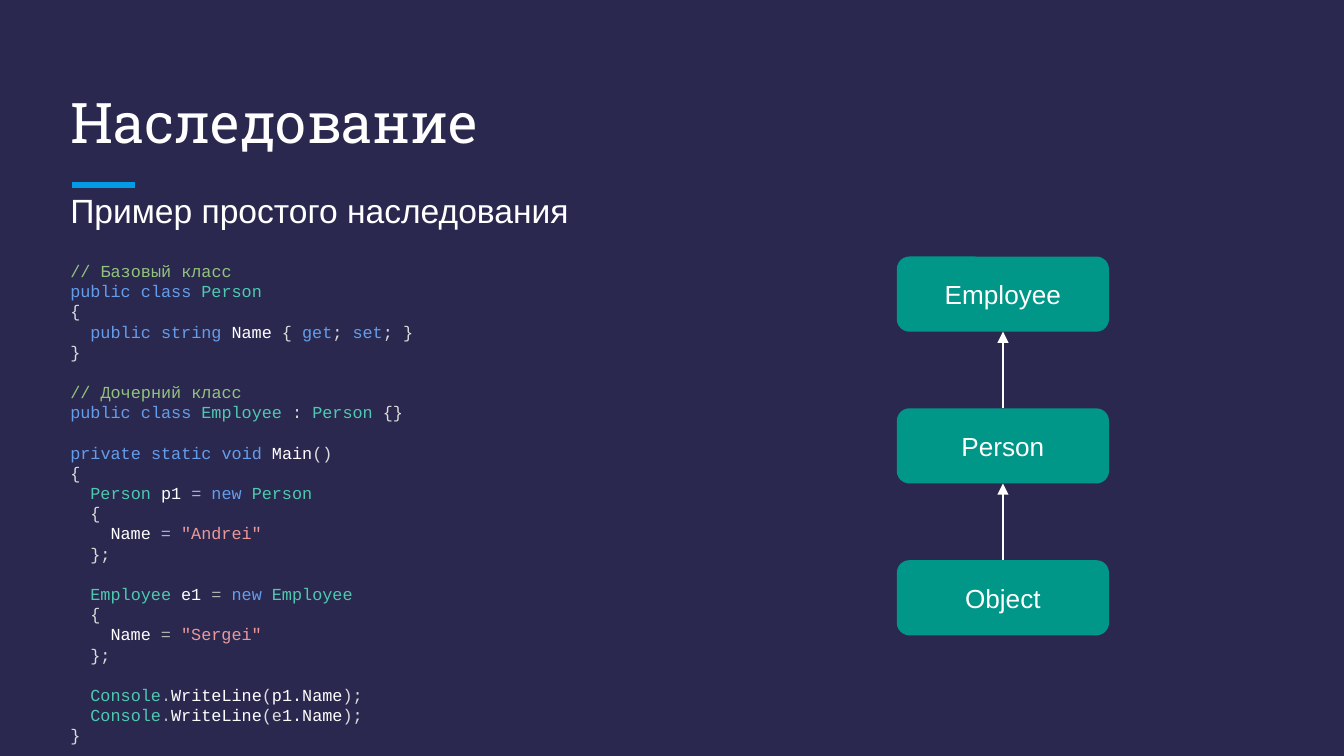
from itertools import pairwise

from pptx import Presentation
from pptx.dml.color import RGBColor
from pptx.enum.shapes import MSO_CONNECTOR, MSO_SHAPE
from pptx.enum.text import MSO_ANCHOR, MSO_AUTO_SIZE, PP_ALIGN
from pptx.oxml.ns import qn
from pptx.util import Cm, Pt
from lxml.etree import SubElement

COLORS = {
    "background": "2A284F",
    "accent": "039BE5",
    "box": "009688",
    "white": "FFFFFF",
    "comment": "93C47D",
    "keyword": "649EEB",
    "type": "4EC9B0",
    "plain": "DCDCDC",
    "operator": "B4B4B4",
    "string": "EA9999",
}
FRAME_FORMAT = {
    "word_wrap": True,
    "auto_size": MSO_AUTO_SIZE.NONE,
    "margin_left": Cm(0.25),
    "margin_right": Cm(0.25),
    "margin_top": Cm(0.25),
    "margin_bottom": Cm(0.25),
}
TITLE_FONT = {"name": "Roboto Slab", "size": Pt(30), "bold": False}
SUBTITLE_FONT = {"name": "Arial", "size": Pt(18)}
BOX_FONT = {"name": "Arial", "size": Pt(14)}
CODE_FONT = {"name": "Courier New", "size": Pt(9)}
CODE_INDENT = Cm(0.38)
BLANK_LINE = Pt(10.8)


def color(name):
    return RGBColor.from_string(COLORS[name])


def set_attributes(target, values):
    for name, value in values.items():
        setattr(target, name, value)


def add_run(paragraph, text, font, color_name="white"):
    run = paragraph.add_run()
    run.text = text
    set_attributes(run.font, font)
    run.font.color.rgb = color(color_name)


def object_creation(type_name, variable, value):
    return [
        (1, [("type", f"{type_name} "), ("white", f"{variable} "), ("operator", "= "),
             ("keyword", "new "), ("type", type_name)]),
        (1, [("plain", "{")]),
        (2, [("white", "Name "), ("operator", "= "), ("string", f'"{value}"')]),
        (1, [("plain", "};")]),
    ]


def console_output(*argument):
    return (1, [("type", "Console"), ("operator", "."), ("white", "WriteLine"),
                ("plain", "("), *argument, ("plain", ");")])


def code_blocks():
    return [
        [
            (0, [("comment", "// Базовый класс")]),
            (0, [("keyword", "public class "), ("type", "Person")]),
            (0, [("plain", "{")]),
            (1, [("keyword", "public string "), ("white", "Name "), ("plain", "{ "),
                 ("keyword", "get"), ("plain", "; "), ("keyword", "set"), ("plain", "; }")]),
            (0, [("plain", "}")]),
        ],
        [
            (0, [("comment", "// Дочерний класс")]),
            (0, [("keyword", "public class "), ("type", "Employee "), ("plain", ": "),
                 ("type", "Person "), ("plain", "{}")]),
        ],
        [
            (0, [("keyword", "private static void "), ("white", "Main"), ("plain", "()")]),
            (0, [("plain", "{")]),
            *object_creation("Person", "p1", "Andrei"),
        ],
        object_creation("Employee", "e1", "Sergei"),
        [
            console_output(("white", "p1.Name")),
            console_output(("plain", "e"), ("white", "1.Name")),
            (0, [("plain", "}")]),
        ],
    ]


def add_title(slide, text):
    title = slide.shapes.title
    set_attributes(title, {"left": Cm(1.08), "top": Cm(1.27),
                           "width": Cm(23.24), "height": Cm(1.9)})
    set_attributes(title.text_frame, FRAME_FORMAT)
    title.text_frame.vertical_anchor = MSO_ANCHOR.BOTTOM
    paragraph = title.text_frame.paragraphs[0]
    paragraph.alignment = PP_ALIGN.LEFT
    add_run(paragraph, text, TITLE_FONT)


def add_code_line(text_frame, level, tokens, space_before):
    paragraph = text_frame.add_paragraph()
    paragraph.space_before = space_before
    properties = paragraph._p.get_or_add_pPr()
    properties.set("marL", str(level * CODE_INDENT))
    properties.set("indent", "0")
    for color_name, text in tokens:
        add_run(paragraph, text, CODE_FONT, color_name)


def add_example(slide, subtitle, blocks):
    text_frame = slide.shapes.add_textbox(Cm(1.08), Cm(3.35), Cm(23.24), Cm(10.69)).text_frame
    set_attributes(text_frame, FRAME_FORMAT)
    add_run(text_frame.paragraphs[0], subtitle, SUBTITLE_FONT)
    for block_number, block in enumerate(blocks):
        gap = BLANK_LINE if block_number else Pt(16)
        for line_number, (level, tokens) in enumerate(block):
            add_code_line(text_frame, level, tokens, Pt(0) if line_number else gap)


def add_class_box(slide, name, top):
    shape = slide.shapes.add_shape(MSO_SHAPE.ROUNDED_RECTANGLE,
                                   Cm(16.95), top, Cm(4.01), Cm(1.42))
    shape.shadow.inherit = False
    shape.fill.solid()
    shape.fill.fore_color.rgb = color("box")
    shape.line.fill.background()
    set_attributes(shape.text_frame, FRAME_FORMAT)
    shape.text_frame.vertical_anchor = MSO_ANCHOR.MIDDLE
    paragraph = shape.text_frame.paragraphs[0]
    paragraph.alignment = PP_ALIGN.CENTER
    add_run(paragraph, name, BOX_FONT)
    return shape


def add_line(slide, start, end, color_name, width):
    connector = slide.shapes.add_connector(MSO_CONNECTOR.STRAIGHT, *start, *end)
    connector.line.color.rgb = color(color_name)
    connector.line.width = width
    SubElement(connector._element.spPr, qn("a:effectLst"))
    return connector


def add_arrow(slide, lower_box, upper_box):
    center = lower_box.left + lower_box.width // 2
    arrow = add_line(slide, (center, lower_box.top),
                     (center, upper_box.top + upper_box.height), "white", Pt(0.75))
    arrow.begin_connect(lower_box, 0)
    arrow.end_connect(upper_box, 2)
    SubElement(arrow.line._get_or_add_ln(), qn("a:tailEnd"), type="triangle")


def main():
    presentation = Presentation()
    set_attributes(presentation, {"slide_width": Cm(25.4), "slide_height": Cm(14.29)})
    slide = presentation.slides.add_slide(presentation.slide_layouts[5])
    slide.background.fill.solid()
    slide.background.fill.fore_color.rgb = color("background")

    add_line(slide, (Cm(1.37), Cm(3.5)), (Cm(2.55), Cm(3.5)), "accent", Pt(3))
    add_title(slide, "Наследование")
    add_example(slide, "Пример простого наследования", code_blocks())
    boxes = [add_class_box(slide, name, Cm(4.85 + 2.87 * row))
             for row, name in enumerate(("Employee", "Person", "Object"))]
    for upper_box, lower_box in pairwise(boxes):
        add_arrow(slide, lower_box, upper_box)

    presentation.save("out.pptx")


if __name__ == "__main__":
    main()
